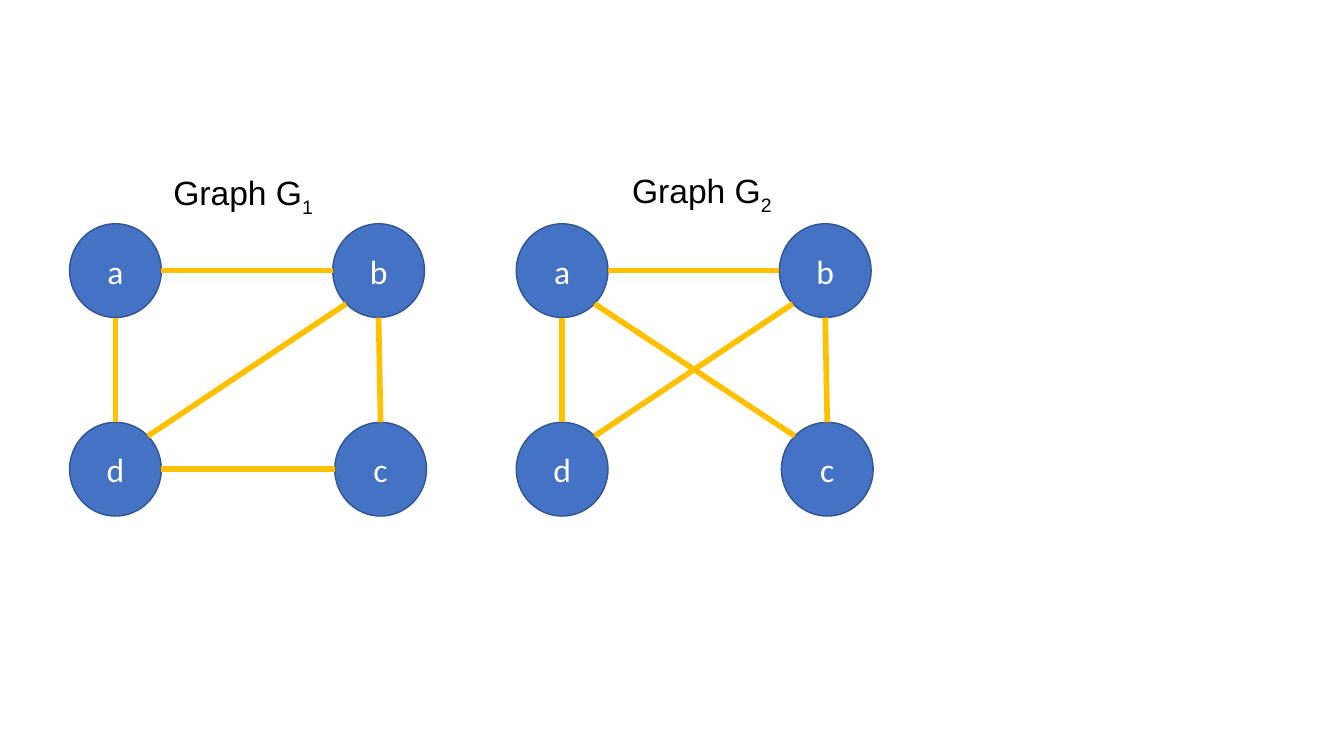
"""Draw two labelled four-node graphs side by side."""
from math import hypot

from pptx import Presentation
from pptx.dml.color import RGBColor
from pptx.enum import shapes, text
from pptx.oxml.ns import qn
from pptx.util import Inches, Pt

NODES = {"a": (0, 0), "b": (2.61, 0), "c": (2.63, 1.97), "d": (0, 1.97)}
SIDES = {"right": (1, 0), "left": (-1, 0), "top": (0, -1), "bottom": (0, 1),
         "lower left": (-1, 1), "upper right": (1, -1),
         "lower right": (1, 1), "upper left": (-1, -1)}
SHARED_EDGES = [("a", "bottom", "d", "top"),
                ("b", "left", "a", "right"),
                ("c", "top", "b", "bottom"),
                ("d", "upper right", "b", "lower left")]
GRAPHS = [
    {"number": "1", "left": 0.69, "caption": (1.62, 1.66),
     "edges": SHARED_EDGES + [("d", "right", "c", "left")]},
    {"number": "2", "left": 5.12, "caption": (6.17, 1.64),
     "edges": SHARED_EDGES + [("a", "lower right", "c", "upper left")]},
]
NODE_TOP, NODE_WIDTH, NODE_HEIGHT = 2.22, 0.91, 0.93
CAPTION_WIDTH, CAPTION_HEIGHT = 1.69, 0.5
THEME = {
    "node": RGBColor(0x44, 0x72, 0xC4), "outline": RGBColor(0x32, 0x54, 0x91),
    "edge": RGBColor(0xFF, 0xC0, 0x00), "letter": RGBColor(0xFF, 0xFF, 0xFF),
    "caption": RGBColor(0, 0, 0), "letter_font": "Calibri",
    "caption_font": "Arial", "size": Pt(24), "outline_width": Pt(1),
    "edge_width": Pt(4),
}


def style(run, role):
    """Apply the theme's font, size and colour for a role."""
    run.font.name = THEME[role + "_font"]
    run.font.size = THEME["size"]
    run.font.color.rgb = THEME[role]


def anchor(left, letter, side):
    """Return the point on a node's rim that faces the given side."""
    x, y = NODES[letter]
    across, down = SIDES[side]
    reach = hypot(across, down)
    return (Inches(left + x + NODE_WIDTH / 2 * (1 + across / reach)),
            Inches(NODE_TOP + y + NODE_HEIGHT / 2 * (1 + down / reach)))


def draw_node(group, left, letter):
    """Draw one lettered circle."""
    x, y = NODES[letter]
    node = group.shapes.add_shape(
        shapes.MSO_SHAPE.OVAL, Inches(left + x), Inches(NODE_TOP + y),
        Inches(NODE_WIDTH), Inches(NODE_HEIGHT))
    node.shadow.inherit = False
    node.fill.solid()
    node.fill.fore_color.rgb = THEME["node"]
    node.line.color.rgb = THEME["outline"]
    node.line.width = THEME["outline_width"]
    node.text_frame.text = letter
    node.text_frame.vertical_anchor = text.MSO_ANCHOR.MIDDLE
    paragraph = node.text_frame.paragraphs[0]
    paragraph.alignment = text.PP_ALIGN.CENTER
    style(paragraph.runs[0], "letter")


def draw_edge(group, left, start, start_side, end, end_side):
    """Draw one straight edge between two node rims."""
    edge = group.shapes.add_connector(
        shapes.MSO_CONNECTOR.STRAIGHT, *anchor(left, start, start_side),
        *anchor(left, end, end_side))
    edge.line.color.rgb = THEME["edge"]
    edge.line.width = THEME["edge_width"]
    properties = edge._element.spPr
    properties.append(properties.makeelement(qn("a:effectLst"), {}))


def draw_caption(group, position, number):
    """Write the graph's name with its number as a subscript."""
    caption = group.shapes.add_textbox(
        *map(Inches, position), Inches(CAPTION_WIDTH), Inches(CAPTION_HEIGHT))
    frame = caption.text_frame
    frame.word_wrap = False
    frame.auto_size = text.MSO_AUTO_SIZE.SHAPE_TO_FIT_TEXT
    frame.text = "Graph G"
    subscript = frame.paragraphs[0].add_run()
    subscript.text = number
    for run in frame.paragraphs[0].runs:
        style(run, "caption")
    subscript.font._element.set("baseline", "-25000")


def main():
    """Build and save the slide."""
    deck = Presentation()
    deck.slide_width, deck.slide_height = Inches(13.33), Inches(7.5)
    slide = deck.slides.add_slide(deck.slide_layouts[6])
    for graph in GRAPHS:
        group = slide.shapes.add_group_shape()
        for letter in NODES:
            draw_node(group, graph["left"], letter)
        for edge in graph["edges"]:
            draw_edge(group, graph["left"], *edge)
        draw_caption(group, graph["caption"], graph["number"])
    deck.save("out.pptx")


if __name__ == "__main__":
    main()
